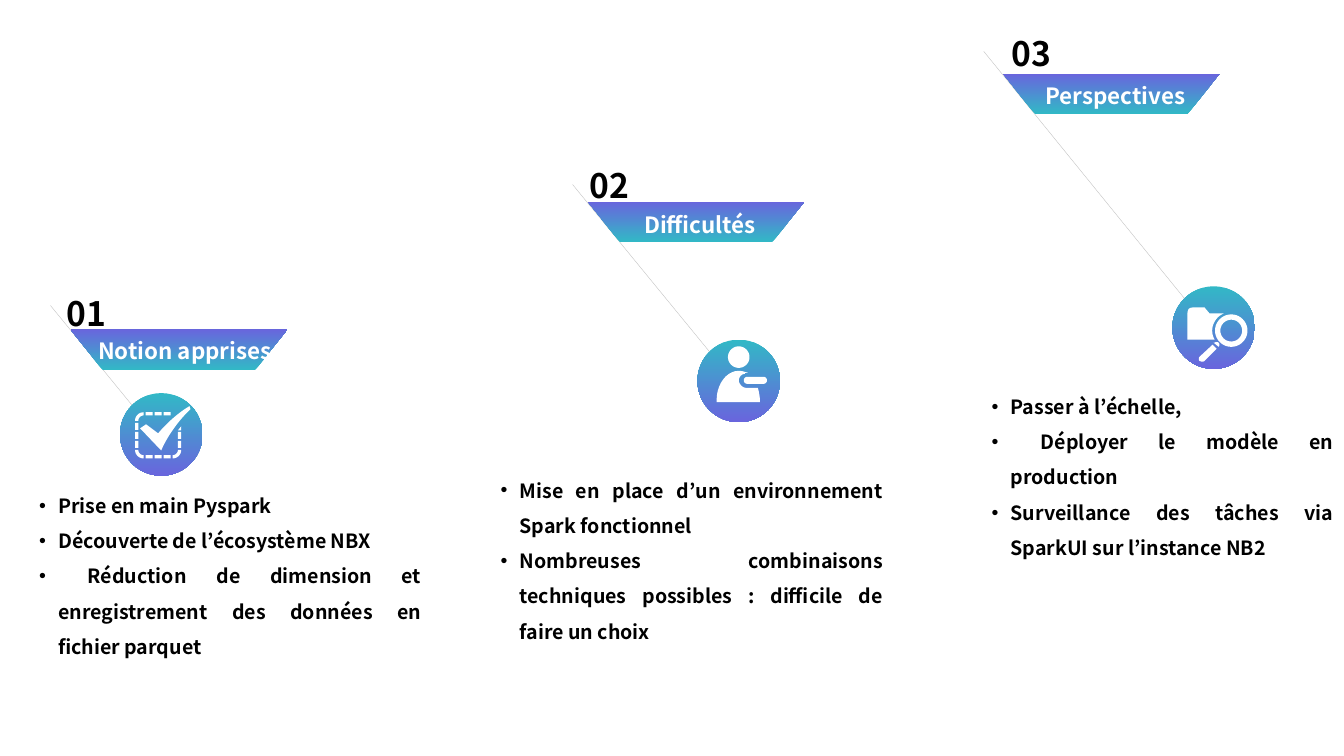
"""Build a slide with three rising steps: lessons, difficulties and outlook."""
from lxml.etree import SubElement
from pptx import Presentation
from pptx.dml.color import RGBColor
from pptx.enum.shapes import MSO_CONNECTOR, MSO_SHAPE
from pptx.enum.text import MSO_ANCHOR, PP_ALIGN
from pptx.oxml.ns import qn
from pptx.util import Pt

FONT = "Noto Sans CJK JP"
COLORS = {"teal": "32B8C6", "violet": "6965DD", "line": "BFBFBF", "text": "000000", "white": "FFFFFF"}
CIRCLE, RIBBON, NUMBER, LABEL = 59, (154.8, 28.8), (73.4, 44.6), (154.8, 33)
CURVE_STEPS = 10


def circle_outline(x, y, radius):
    """Return a circle as a start point and four cubic curves."""
    k = 0.55 * radius
    return [(x + radius, y),
            (x + radius, y + k, x + k, y + radius, x, y + radius),
            (x - k, y + radius, x - radius, y + k, x - radius, y),
            (x - radius, y - k, x - k, y - radius, x, y - radius),
            (x + k, y - radius, x + radius, y - k, x + radius, y)]


def dashed_box(x, y, outer=16.5, inner=14.2, bend=10.3, pitch=6.4, half=2.5):
    """Return the dashes and three rounded corners of a box centred on x, y."""
    outlines = []
    for offset in (-pitch, 0, pitch):
        for side in (-1, 1):
            near, far, start, end = side * inner, side * outer, offset - half, offset + half
            outlines.append([(start, near), (start, far), (end, far), (end, near)])
            if side < 0 or offset >= 0:
                outlines.append([(near, start), (far, start), (far, end), (near, end)])
    mid_outer, mid_inner = (outer + bend) / 2 + 0.4, (inner + bend) / 2 + 0.2
    for a, b in ((-1, -1), (-1, 1), (1, 1)):
        outlines.append([(a * outer, b * bend),
                         (a * outer, b * mid_outer, a * mid_outer, b * outer, a * bend, b * outer),
                         (a * bend, b * inner),
                         (a * mid_inner, b * inner, a * inner, b * mid_inner, a * inner, b * bend)])
    outlines.append([(outer, -6.5), (inner, -3.6), (outer, -3.6)])
    return [[tuple(value + (y if i % 2 else x) for i, value in enumerate(point))
             for point in outline] for outline in outlines]


CHECK_ICON = [
    dashed_box(-2.2, 0.7),
    [[(20.2, -20.2), (9.4, -13.7, 1.4, -5, -2.2, -0.7), (-10.8, -7.2), (-15.1, -4.3), (0, 11.5),
      (2.9, 4.3, 10.8, -8.6, 20.9, -18)]],
]
PERSON_ICON = [
    [[(6.1, -2.9), (17.7, -2.9), (21, -2.9, 21, 2.1, 17.7, 2.1), (6.1, 2.1),
      (2.8, 2.1, 2.8, -2.9, 6.1, -2.9)]],
    [circle_outline(0, -17, 7.7),
     [(13.7, 5), (5.8, 5), (2.9, 5, 0.7, 2.9, 0, 0), (0, -2.9, 2.2, -5, 4.3, -5),
      (4.3, -5.8, 5, -5.8, 6.5, -5.8), (4.3, -6.5, 2.2, -7.2, 0, -7.2),
      (-8.6, -7.2, -15.8, 2.2, -15.8, 13.7), (-15.8, 15.1), (15.1, 15.1), (15.1, 13.7),
      (15.1, 10.8, 14.4, 7.9, 13.7, 5)]],
]
SEARCH_ICON = [
    [[(2.9, -7.2), (4.3, -8.6, 5.8, -9.4, 7.2, -10.1), (-2.9, -10.1), (-6.5, -14.4), (-13.7, -14.4),
      (-17.3, -14.4, -18.7, -13.7, -18.7, -9.4), (-18.7, 8.6), (0.7, 8.6),
      (-2.2, 3.6, -1.4, -2.9, 2.9, -7.2)]],
    [circle_outline(12.6, 2.2, 11.6), circle_outline(12.6, 2.2, 7.8)],
    [[(3.6, 10.8), (2.9, 10.1, 1.4, 10.1, 0.7, 10.8), (0, 10.8), (3.6, 13.7),
      (4.3, 13, 4.3, 11.5, 3.6, 10.8)],
     [(-10.1, 20.9), (-10.8, 21.6, -10.8, 23, -10.1, 23.8), (-8.6, 24.5, -7.2, 24.5, -6.5, 23.8),
      (2.2, 15.1), (-0.7, 12.2)]],
]
STEPS = [
    {"number": "01", "label": "Notion apprises", "icon": CHECK_ICON,
     "points": ["Prise en main Pyspark", "Découverte de l’écosystème NBX",
                " Réduction de dimension et enregistrement des données en fichier parquet"],
     "circle_at": (85.7, 280.8), "line_end": (36, 218.2), "number_at": (40.3, 197.3),
     "ribbon_at": (50.4, 235.4), "label_at": (54.7, 234), "body": (20.9, 340.6, 287.3, 61.2)},
    {"number": "02", "label": "Difficultés", "icon": PERSON_ICON,
     "points": ["Mise en place d’un environnement Spark fonctionnel",
                "Nombreuses combinaisons techniques possibles : difficile de faire un choix"],
     "circle_at": (498.2, 242.6), "line_end": (409, 131.8), "number_at": (414, 105.8),
     "ribbon_at": (419.8, 144), "label_at": (422.6, 144), "body": (350.6, 329.8, 287.3, 113)},
    {"number": "03", "label": "Perspectives", "icon": SEARCH_ICON,
     "points": ["Passer à l’échelle,", " Déployer le modèle en production",
                "Surveillance des tâches via SparkUI sur l’instance NB2"],
     "circle_at": (837.4, 204.5), "line_end": (702.7, 36.7), "number_at": (715.7, 11.5),
     "ribbon_at": (716.4, 52.6), "label_at": (719.3, 51.8), "body": (701.3, 270, 258.5, 61.2)},
]


def color(name):
    return RGBColor.from_string(COLORS[name])


def add_gradient_shape(slide, kind, position, size):
    shape = slide.shapes.add_shape(kind, *map(Pt, position + size))
    shape.shadow.inherit = False
    shape.line.fill.background()
    shape.fill.gradient()
    shape.fill.gradient_angle = 270
    for stop, name in zip(shape.fill.gradient_stops, ("teal", "violet")):
        stop.color.rgb = color(name)
    return shape


def add_text(slide, box, lines, size, name, align, anchor, spacing, wrap=False):
    text_frame = slide.shapes.add_textbox(*map(Pt, box)).text_frame
    text_frame.word_wrap = wrap
    text_frame.vertical_anchor = anchor
    text_frame.text = "\n".join(lines)
    for paragraph in text_frame.paragraphs:
        paragraph.alignment = align
        paragraph.line_spacing = spacing
        for run in paragraph.runs:
            run.font.name, run.font.size, run.font.bold = FONT, Pt(size), True
            run.font.color.rgb = color(name)
    return text_frame


def add_bullets(text_frame):
    for paragraph in text_frame.paragraphs:
        properties = paragraph._p.get_or_add_pPr()
        properties.set("marL", str(Pt(13.5)))
        properties.set("indent", str(-Pt(13.5)))
        SubElement(properties, qn("a:buFont")).set("typeface", "Arial")
        SubElement(properties, qn("a:buChar")).set("char", "•")


def flatten(outline):
    """Turn line points and cubic curves into plain points."""
    points = [outline[0]]
    for part in outline[1:]:
        if len(part) == 2:
            points.append(part)
            continue
        controls = [points[-1], part[0:2], part[2:4], part[4:6]]
        for step in range(1, CURVE_STEPS + 1):
            t = step / CURVE_STEPS
            weights = ((1 - t) ** 3, 3 * t * (1 - t) ** 2, 3 * t * t * (1 - t), t ** 3)
            points.append(tuple(sum(w * c[axis] for w, c in zip(weights, controls))
                                for axis in (0, 1)))
    return points


def add_icon(slide, pieces, center):
    for outlines in pieces:
        builder = None
        for outline in outlines:
            points = [tuple(100 * (value + middle) for value, middle in zip(point, center))
                      for point in flatten(outline)]
            if builder is None:
                builder = slide.shapes.build_freeform(*points[0], scale=Pt(1) / 100)
            else:
                builder.move_to(*points[0])
            builder.add_line_segments(points[1:], close=True)
        shape = builder.convert_to_shape()
        shape.shadow.inherit = False
        shape.fill.solid()
        shape.fill.fore_color.rgb = color("white")
        shape.line.fill.background()


def add_step(slide, step):
    center = tuple(value + CIRCLE / 2 for value in step["circle_at"])
    add_gradient_shape(slide, MSO_SHAPE.OVAL, step["circle_at"], (CIRCLE, CIRCLE))
    line_start = tuple(value - 21 for value in center)
    line = slide.shapes.add_connector(MSO_CONNECTOR.STRAIGHT, *map(Pt, line_start + step["line_end"]))
    line.line.color.rgb = color("line")
    line.line.width = Pt(0.25)
    SubElement(line._element.spPr, qn("a:effectLst"))
    add_text(slide, step["number_at"] + NUMBER, [step["number"]], 24, "text",
             PP_ALIGN.LEFT, MSO_ANCHOR.BOTTOM, 1.1)
    ribbon = add_gradient_shape(slide, MSO_SHAPE.TRAPEZOID, step["ribbon_at"], RIBBON)
    ribbon.adjustments[0] = 0.794
    ribbon._element.spPr.find(qn("a:xfrm")).set("flipV", "1")
    add_bullets(add_text(slide, step["body"], step["points"], 14, "text",
                         PP_ALIGN.JUSTIFY, MSO_ANCHOR.TOP, 1.5, wrap=True))
    add_text(slide, step["label_at"] + LABEL, [step["label"]], 16, "white",
             PP_ALIGN.CENTER, MSO_ANCHOR.MIDDLE, 1.0)
    add_icon(slide, step["icon"], center)


def main():
    presentation = Presentation()
    presentation.slide_width, presentation.slide_height = Pt(960), Pt(540)
    slide = presentation.slides.add_slide(presentation.slide_layouts[6])
    for step in STEPS:
        add_step(slide, step)
    presentation.save("out.pptx")


if __name__ == "__main__":
    main()
